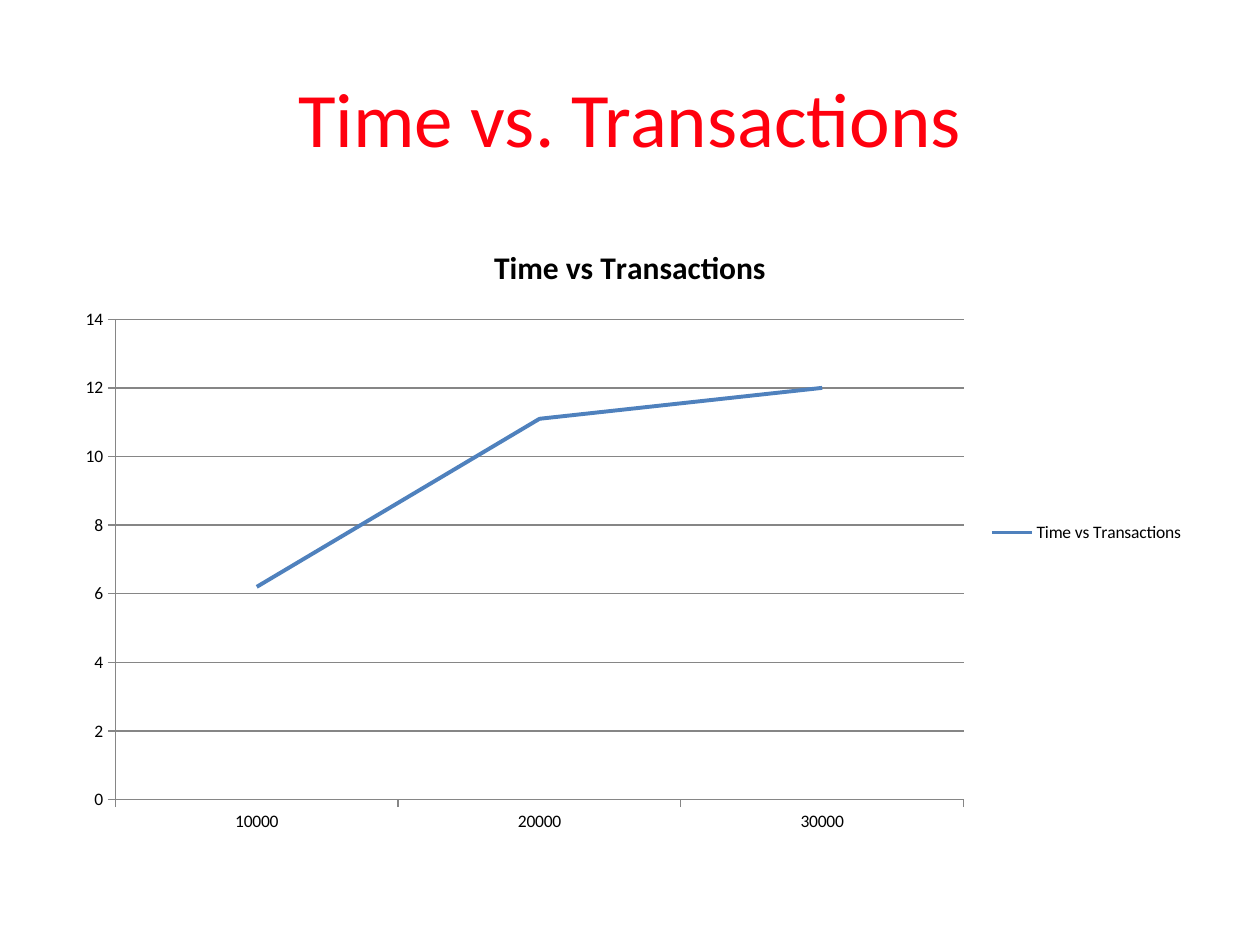
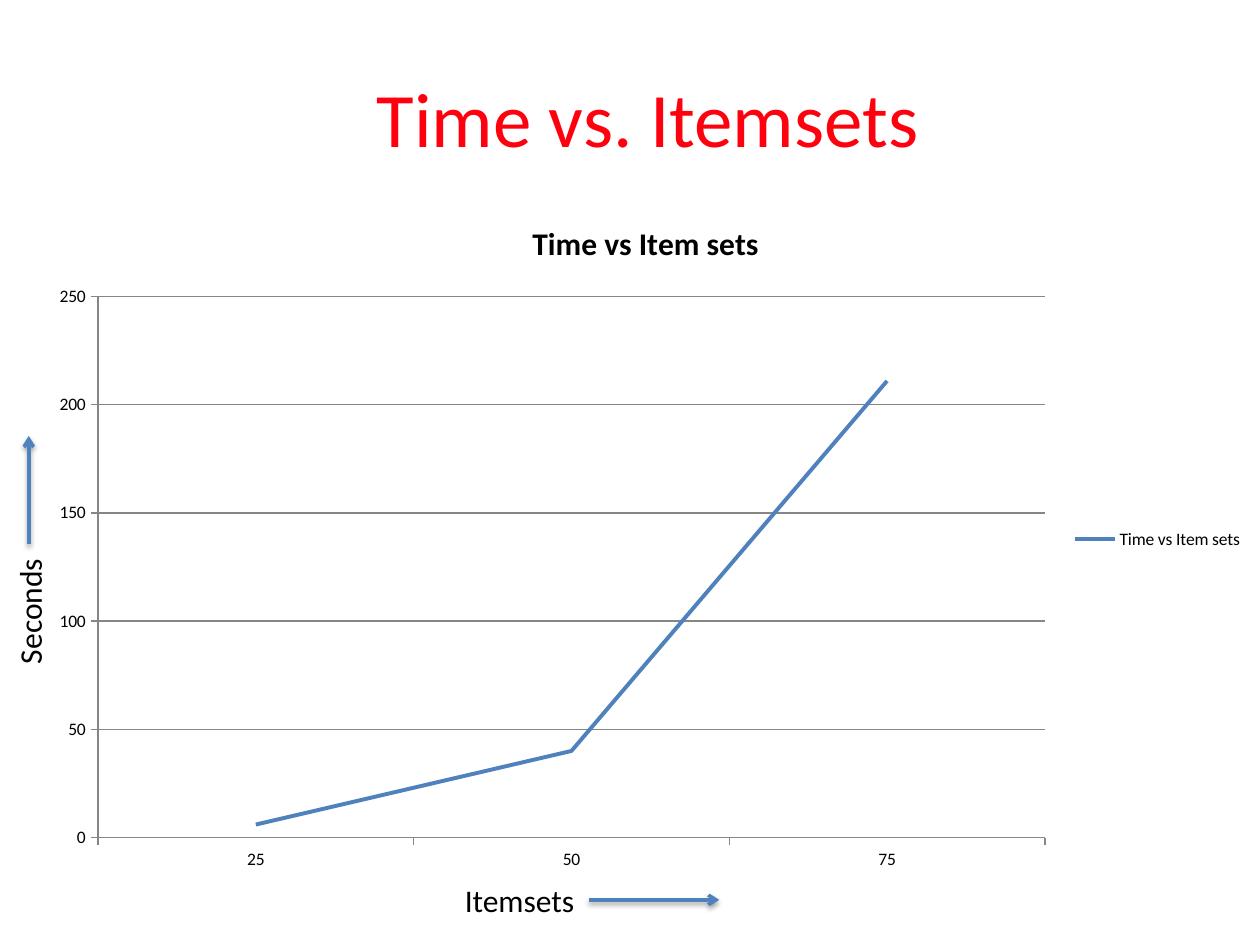
from lxml.etree import SubElement
from pptx import Presentation
from pptx.chart.data import CategoryChartData
from pptx.dml.color import RGBColor
from pptx.enum.chart import XL_CHART_TYPE, XL_LEGEND_POSITION, XL_MARKER_STYLE, XL_TICK_MARK
from pptx.enum.shapes import MSO_CONNECTOR
from pptx.enum.text import MSO_ANCHOR, MSO_AUTO_SIZE, PP_ALIGN
from pptx.oxml.ns import qn
from pptx.util import Cm, Pt

RED = RGBColor(0xFF, 0x00, 0x0E)
BLUE = RGBColor(0x4F, 0x81, 0xBD)
BLACK = RGBColor(0x00, 0x00, 0x00)
GRAY = RGBColor(0x86, 0x86, 0x86)
FONT = "Calibri"
TITLE_TOP, TITLE_WIDTH, TITLE_HEIGHT = 0.76, 22.86, 3.18


def style_font(font, size, color, bold=False):
    font.name, font.size, font.bold = FONT, Pt(size), bold
    font.color.rgb = color


def write(frame, text, size, color, align=PP_ALIGN.LEFT, bold=False):
    paragraph = frame.paragraphs[0]
    paragraph.alignment = align
    run = paragraph.add_run()
    run.text = text
    style_font(run.font, size, color, bold)


def add_titled_slide(prs, heading, left):
    slide = prs.slides.add_slide(prs.slide_layouts[5])
    title = slide.shapes.title
    title.left, title.top = Cm(left), Cm(TITLE_TOP)
    title.width, title.height = Cm(TITLE_WIDTH), Cm(TITLE_HEIGHT)
    title.text_frame.vertical_anchor = MSO_ANCHOR.MIDDLE
    write(title.text_frame, heading, 44, RED, PP_ALIGN.CENTER)
    return slide


def add_timing_chart(slide, box, name, timings, top_value, step):
    data = CategoryChartData()
    data.categories = [str(amount) for amount in timings]
    data.add_series(name, timings.values())
    chart = slide.shapes.add_chart(
        XL_CHART_TYPE.LINE, *(Cm(length) for length in box), data).chart
    style_font(chart.font, 10, BLACK)
    chart.has_title = True
    write(chart.chart_title.text_frame, name, 18, BLACK, PP_ALIGN.CENTER, bold=True)
    chart.chart_title.include_in_layout = False
    chart.has_legend = True
    chart.legend.position = XL_LEGEND_POSITION.RIGHT
    chart.legend.include_in_layout = False

    seconds = chart.value_axis
    seconds.minimum_scale, seconds.maximum_scale = 0, top_value
    seconds.major_unit = step
    seconds.has_major_gridlines = True
    for axis in (chart.category_axis, seconds):
        axis.major_tick_mark = XL_TICK_MARK.OUTSIDE
        axis.minor_tick_mark = XL_TICK_MARK.NONE
    for line in (chart.category_axis.format.line, seconds.format.line,
                 seconds.major_gridlines.format.line):
        line.color.rgb, line.width = GRAY, Pt(0.75)

    chart.plots[0].vary_by_categories = False
    curve = chart.plots[0].series[0]
    curve.smooth = False
    curve.marker.style = XL_MARKER_STYLE.NONE
    curve.format.line.color.rgb = BLUE
    curve.format.line.width = Pt(2.25)


def add_arrow(slide, start, end):
    arrow = slide.shapes.add_connector(
        MSO_CONNECTOR.STRAIGHT, *(Cm(length) for length in start + end))
    arrow.line.color.rgb, arrow.line.width = BLUE, Pt(2)
    SubElement(arrow.line._get_or_add_ln(), qn("a:tailEnd"), type="arrow")
    effects = SubElement(arrow._element.spPr, qn("a:effectLst"))
    shadow = SubElement(effects, qn("a:outerShdw"), blurRad=str(Pt(3.1)),
                        dist=str(Pt(1.6)), dir="5400000", rotWithShape="0")
    tint = SubElement(shadow, qn("a:srgbClr"), val=str(BLACK))
    SubElement(tint, qn("a:alpha"), val="38000")


def add_axis_label(slide, box, text, arrow_start, arrow_end, rotation=0):
    label = slide.shapes.add_textbox(*(Cm(length) for length in box))
    label.rotation = rotation
    label.text_frame.word_wrap = False
    label.text_frame.auto_size = MSO_AUTO_SIZE.SHAPE_TO_FIT_TEXT
    write(label.text_frame, text, 18, BLACK)
    add_arrow(slide, arrow_start, arrow_end)


def build_transactions_slide(prs):
    slide = add_titled_slide(prs, "Time vs. Transactions", 1.27)
    add_timing_chart(slide, (1.27, 4.45, 22.86, 12.57), "Time vs Transactions",
                     {10000: 6.2, 20000: 11.1, 30000: 12}, 14, 2)


def build_itemsets_slide(prs):
    slide = add_titled_slide(prs, "Time vs. Itemsets", 1.63)
    add_timing_chart(slide, (0.71, 3.94, 24.61, 13.87), "Time vs Item sets",
                     {25: 6, 50: 40, 75: 211}, 250, 50)
    add_axis_label(slide, (9.12, 17.63, 2.77, 1.02), "Itemsets",
                   (11.87, 18.14), (14.5, 18.14))
    add_axis_label(slide, (-0.74, 11.79, 2.67, 1.02), "Seconds",
                   (0.58, 10.97), (0.58, 8.79), rotation=270)


def main():
    prs = Presentation()
    prs.slide_width, prs.slide_height = Cm(25.4), Cm(19.05)
    build_transactions_slide(prs)
    build_itemsets_slide(prs)
    prs.save("out.pptx")


if __name__ == "__main__":
    main()
